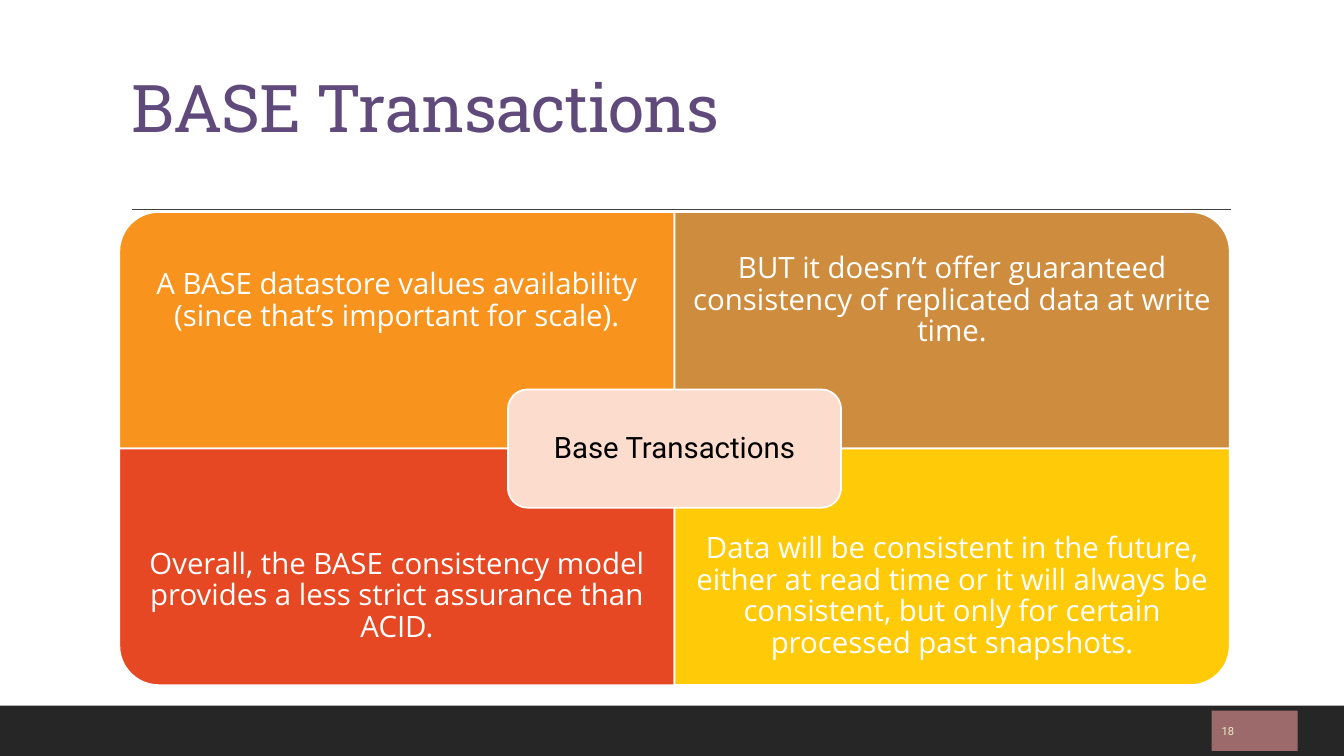
from lxml import etree
from pptx import Presentation
from pptx.dml.color import RGBColor
from pptx.enum.shapes import MSO_CONNECTOR, MSO_SHAPE as SHAPE
from pptx.enum.text import MSO_ANCHOR as ANCHOR, MSO_AUTO_SIZE, PP_ALIGN as ALIGN
from pptx.oxml.ns import qn
from pptx.util import Pt

COLORS = {
    "footer": "262626", "rule": "404040", "title": "604A7B",
    "badge": "9C6A6A", "badge text": "EEEBCA",
    "orange": "F8931D", "tan": "CE8D3E", "red": "E64823", "yellow": "FFCA08",
    "peach": "FCDCCD", "white": "FFFFFF", "black": "000000",
}


def rgb(name):
    return RGBColor.from_string(COLORS[name])


def write(shape, text, size, color, font="Open Sans", align=ALIGN.CENTER,
          inset_x=11.5, inset_y=11.5, spacing=0.9):
    frame = shape.text_frame
    frame.word_wrap = True
    frame.auto_size = MSO_AUTO_SIZE.NONE
    frame.vertical_anchor = ANCHOR.MIDDLE
    frame.margin_left = frame.margin_right = Pt(inset_x)
    frame.margin_top = frame.margin_bottom = Pt(inset_y)
    paragraph = frame.paragraphs[0]
    paragraph.alignment = align
    paragraph.line_spacing = spacing
    run = paragraph.add_run()
    run.text = text
    run.font.size = Pt(size)
    run.font.name = font
    run.font.color.rgb = rgb(color)
    return run


prs = Presentation()
prs.slide_width, prs.slide_height = Pt(960), Pt(540)
slide = prs.slides.add_slide(prs.slide_layouts[5])
shapes = slide.shapes

# Title, rule and footer
title = shapes.title
title.left, title.top, title.width, title.height = Pt(86.4), Pt(22.3), Pt(792), Pt(114.5)
heading = write(title, "BASE Transactions", 47, "title", "Roboto Slab", ALIGN.LEFT, 7.2, 3.6)
heading.font._element.set("spc", "-50")

rule = shapes.add_connector(MSO_CONNECTOR.STRAIGHT, Pt(94.3), Pt(149.5), Pt(879), Pt(149.5))
rule.line.color.rgb = rgb("rule")
rule.line.width = Pt(1)
etree.SubElement(rule._element.spPr, qn("a:effectLst"))

footer = shapes.add_shape(SHAPE.RECTANGLE, 0, Pt(504), Pt(960), Pt(36))
badge = shapes.add_shape(SHAPE.RECTANGLE, Pt(865.5), Pt(507.6), Pt(61.5), Pt(28.8))
for block, color in ((footer, "footer"), (badge, "badge")):
    block.shadow.inherit = False
    block.fill.solid()
    block.fill.fore_color.rgb = rgb(color)
    block.line.fill.background()
write(badge, "18", 8, "badge text", "Roboto", ALIGN.LEFT, 7.2, 3.6, 1)

# Matrix of four quadrants, each with its rounded corner turned outwards
LEFT, TOP, WIDTH, HEIGHT = 85.2, 151.4, 396.6, 169
TEXT_HEIGHT = HEIGHT * 3 / 4
quadrants = [
    (0, 0, 270, "orange",
     "A BASE datastore values availability (since that’s important for scale)."),
    (1, 0, 0, "tan",
     "BUT it doesn’t offer guaranteed consistency of replicated data at write time."),
    (0, 1, 180, "red",
     "Overall, the BASE consistency model provides a less strict assurance than ACID."),
    (1, 1, 90, "yellow",
     "Data will be consistent in the future, either at read time or it will always be "
     "consistent, but only for certain processed past snapshots."),
]
matrix = shapes.add_group_shape().shapes
panels = []
for column, row, angle, color, statement in quadrants:
    x, y = LEFT + column * WIDTH, TOP + row * HEIGHT
    # A quarter turn swaps the sides, so the unturned shape stands upright
    width, height = (HEIGHT, WIDTH) if angle % 180 else (WIDTH, HEIGHT)
    quadrant = matrix.add_shape(SHAPE.ROUND_1_RECTANGLE, Pt(x + (WIDTH - width) / 2),
                                Pt(y + (HEIGHT - height) / 2), Pt(width), Pt(height))
    quadrant.rotation = angle
    panels.append((quadrant, color))
    caption = matrix.add_textbox(Pt(x), Pt(y + row * (HEIGHT - TEXT_HEIGHT)),
                                 Pt(WIDTH), Pt(TEXT_HEIGHT))
    write(caption, statement, 21, "white")

hub_width, hub_height = WIDTH * 0.6, HEIGHT / 2
hub = matrix.add_shape(SHAPE.ROUNDED_RECTANGLE, Pt(LEFT + WIDTH - hub_width / 2),
                       Pt(TOP + HEIGHT - hub_height / 2), Pt(hub_width), Pt(hub_height))
write(hub, "Base Transactions", 21, "black", "Roboto", inset_x=6.3, inset_y=6.3)
panels.append((hub, "peach"))

for panel, color in panels:
    panel.shadow.inherit = False
    panel.fill.solid()
    panel.fill.fore_color.rgb = rgb(color)
    panel.line.color.rgb = rgb("white")
    panel.line.width = Pt(1.25)

prs.save("out.pptx")
